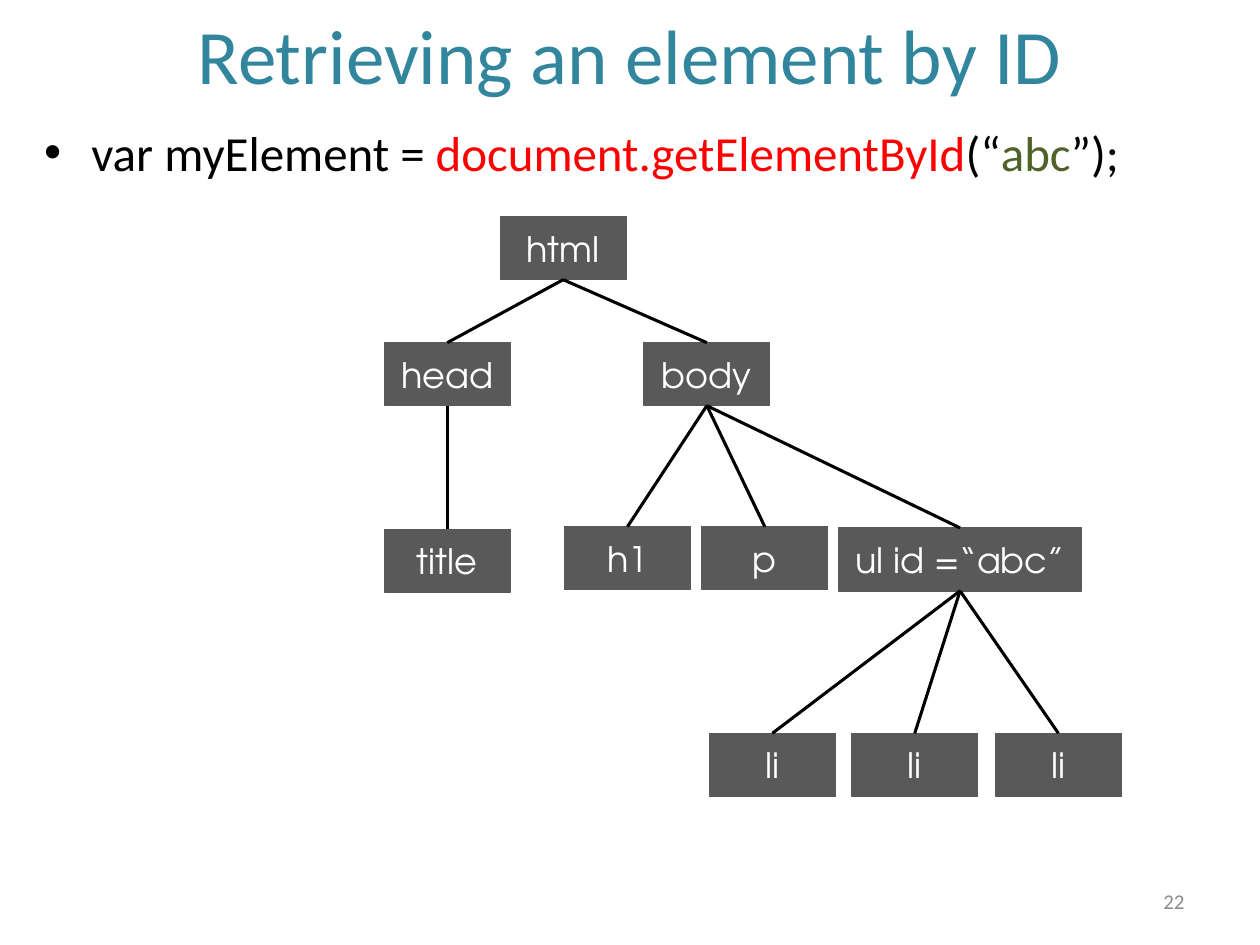
"""Builds a slide on retrieving a DOM element by its ID, with a document tree."""
from pptx import Presentation
from pptx.dml.color import RGBColor
from pptx.enum.shapes import MSO_CONNECTOR, MSO_SHAPE
from pptx.enum.text import MSO_ANCHOR, MSO_AUTO_SIZE, PP_ALIGN
from pptx.oxml.ns import qn
from pptx.util import Inches, Pt

RECTANGLE, STRAIGHT = MSO_SHAPE.RECTANGLE, MSO_CONNECTOR.STRAIGHT
LEFT, CENTER, RIGHT = PP_ALIGN.LEFT, PP_ALIGN.CENTER, PP_ALIGN.RIGHT
TOP, MIDDLE = MSO_ANCHOR.TOP, MSO_ANCHOR.MIDDLE
NO_AUTOFIT = MSO_AUTO_SIZE.NONE
TOP_SITE, BOTTOM_SITE = 0, 2

THEME = {
    "title": {"size": 44, "name": "Calibri", "color": "31859C"},
    "code": {"size": 28, "name": "Calibri", "color": "000000"},
    "number": {"size": 12, "name": "Calibri", "color": "8C8C8C"},
    "node": {"size": 20, "name": "TeX Gyre Adventor", "color": "FFFFFF"},
    "method": "FF0000",
    "string": "4F6228",
    "node_fill": "595959",
    "branch": "000000",
    "node_line": 0.75,
    "branch_line": 1.75,
}

TITLE = "Retrieving an element by ID"
CODE = [
    ("var myElement = ", None),
    ("document.getElementById", "method"),
    ("(“", None),
    ("abc", "string"),
    ("”);", None),
]
SLIDE_NUMBER = "22"

NODE_WIDTH, NODE_HEIGHT = 1, 0.5
NODES = [
    ("html", "html", None, 4.47, 1.72, NODE_WIDTH),
    ("head", "head", "html", 3.55, 2.72, NODE_WIDTH),
    ("body", "body", "html", 5.61, 2.72, NODE_WIDTH),
    ("title", "title", "head", 3.55, 4.2, NODE_WIDTH),
    ("h1", "h1", "body", 4.98, 4.18, NODE_WIDTH),
    ("p", "p", "body", 6.07, 4.18, NODE_WIDTH),
    ("list", "ul id =“abc”", "body", 7.62, 4.19, 1.93),
    ("item 1", "li", "list", 6.13, 5.82, NODE_WIDTH),
    ("item 2", "li", "list", 7.26, 5.82, NODE_WIDTH),
    ("item 3", "li", "list", 8.4, 5.82, NODE_WIDTH),
]


def place(shape, left, top, width, height):
    box = {"left": left, "top": top, "width": width, "height": height}
    for name, value in box.items():
        setattr(shape, name, Inches(value))


def write(shape, runs, style, alignment, anchor):
    frame_format = {"word_wrap": True, "auto_size": NO_AUTOFIT, "vertical_anchor": anchor}
    for name, value in frame_format.items():
        setattr(shape.text_frame, name, value)
    paragraph = shape.text_frame.paragraphs[0]
    paragraph.alignment = alignment
    look = THEME[style]
    for text, color in runs:
        run = paragraph.add_run()
        run.text = text
        for name, value in {"size": Pt(look["size"]), "name": look["name"]}.items():
            setattr(run.font, name, value)
        run.font.color.rgb = RGBColor.from_string(THEME[color] if color else look["color"])


def add_node(slide, label, center, top, width):
    node = slide.shapes.add_shape(
        RECTANGLE, Inches(center - width / 2), Inches(top), Inches(width), Inches(NODE_HEIGHT)
    )
    node.shadow.inherit = False
    node.fill.solid()
    for color in (node.fill.fore_color, node.line.color):
        color.rgb = RGBColor.from_string(THEME["node_fill"])
    node.line.width = Pt(THEME["node_line"])
    write(node, [(label, None)], "node", CENTER, MIDDLE)
    return node


def add_branch(slide, parent, child):
    branch = slide.shapes.add_connector(STRAIGHT, 0, 0, 0, 0)
    branch.begin_connect(parent, BOTTOM_SITE)
    branch.end_connect(child, TOP_SITE)
    branch.line.color.rgb = RGBColor.from_string(THEME["branch"])
    branch.line.width = Pt(THEME["branch_line"])
    properties = branch._element.spPr
    properties.append(properties.makeelement(qn("a:effectLst"), {}))


def main():
    presentation = Presentation()
    presentation.slide_width, presentation.slide_height = Inches(10), Inches(7.5)
    slide = presentation.slides.add_slide(presentation.slide_layouts[1])

    title, body = slide.shapes.title, slide.placeholders[1]
    place(title, 0.75, -0.03, 8.5, 0.92)
    write(title, [(TITLE, None)], "title", CENTER, MIDDLE)
    place(body, 0.25, 0.92, 9.5, 5.75)
    write(body, CODE, "code", LEFT, TOP)

    number = slide.shapes.add_textbox(Inches(7.17), Inches(6.95), Inches(2.33), Inches(0.4))
    write(number, [(SLIDE_NUMBER, None)], "number", RIGHT, MIDDLE)

    nodes = {}
    for key, label, _, center, top, width in NODES:
        nodes[key] = add_node(slide, label, center, top, width)
    for key, _, parent, *_ in NODES:
        if parent:
            add_branch(slide, nodes[parent], nodes[key])

    presentation.save("out.pptx")


if __name__ == "__main__":
    main()
